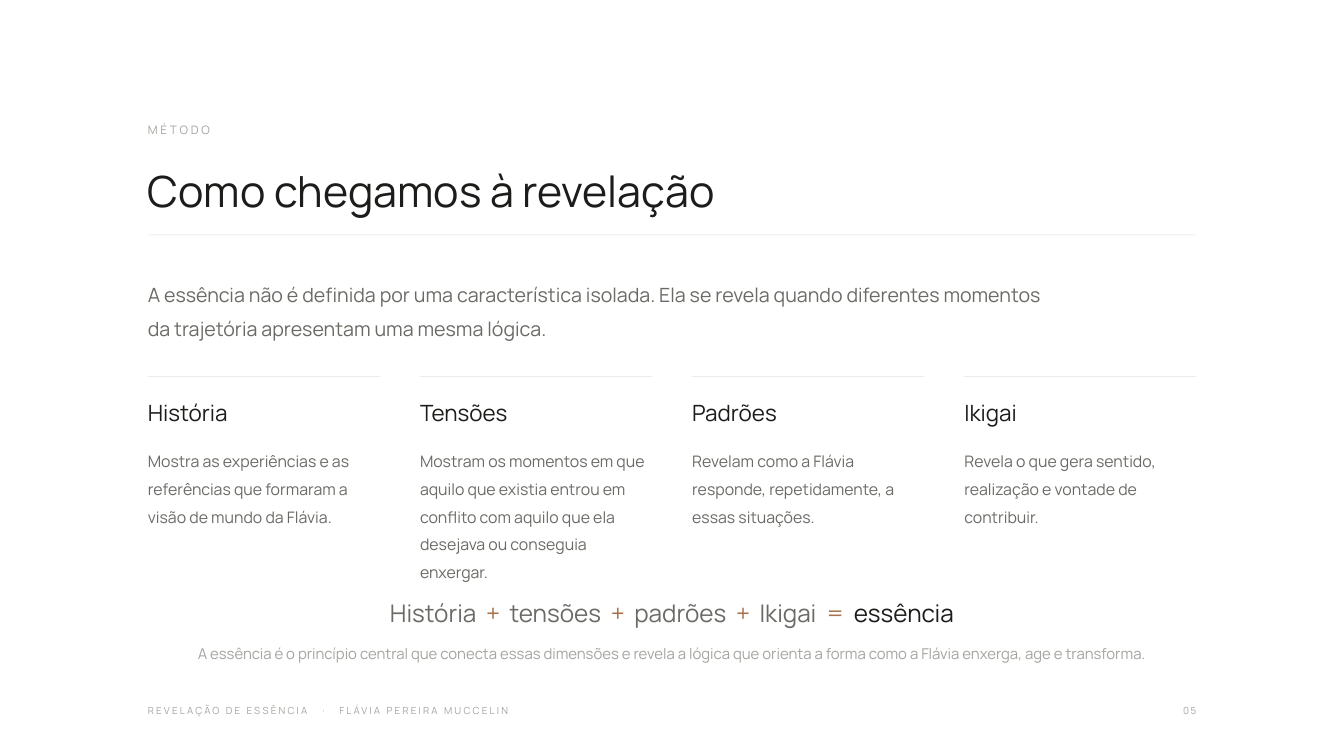
from pptx import Presentation
from pptx.dml.color import RGBColor
from pptx.enum.shapes import MSO_SHAPE
from pptx.enum.text import MSO_AUTO_SIZE, PP_ALIGN
from pptx.util import Inches, Pt

RECT = MSO_SHAPE.RECTANGLE
GROW = MSO_AUTO_SIZE.SHAPE_TO_FIT_TEXT
LEFT, MID, RIGHT = PP_ALIGN.LEFT, PP_ALIGN.CENTER, PP_ALIGN.RIGHT
FONT = "Manrope"
HEX = {"ink": "1C1C1A", "body": "6B6B66", "mute": "A5A49F",
       "rule": "E2E1DD", "accent": "A9724A"}
EDGE, FULL = 2.2, 15.6

deck = Presentation()
deck.slide_width, deck.slide_height = Inches(20), Inches(11.25)
slide = deck.slides.add_slide(deck.slide_layouts[6])


def add_text(x, y, w, h, size, lead, runs, align=LEFT):
    """Add a text box; each run is (text, colour, letter spacing in points)."""
    box = slide.shapes.add_textbox(Inches(x), Inches(y), Inches(w), Inches(h))
    frame = box.text_frame
    frame.word_wrap = True
    frame.auto_size = GROW
    frame.margin_left = frame.margin_right = 0
    frame.margin_top = frame.margin_bottom = 0
    para = frame.paragraphs[0]
    para.alignment = align
    para.line_spacing = lead
    for words, tone, gap in runs:
        run = para.add_run()
        run.text = words
        run.font.name = FONT
        run.font.size = Pt(size)
        run.font.color.rgb = RGBColor.from_string(HEX[tone])
        if gap:
            run.font._element.set("spc", str(round(gap * 100)))


def add_rule(x, y, w):
    """Add a thin horizontal rule."""
    bar = slide.shapes.add_shape(RECT, Inches(x), Inches(y), Inches(w), Inches(0.01))
    bar.shadow.inherit = False
    bar.fill.solid()
    bar.fill.fore_color.rgb = RGBColor.from_string(HEX["rule"])
    bar.line.fill.background()


# Heading
add_text(EDGE, 1.75, 12, 0.35, 12.5, 1.35, [("MÉTODO", "mute", 3)])
add_text(EDGE, 2.35, FULL, 1.02, 46, 1.12, [("Como chegamos à revelação", "ink", 0)])
add_rule(EDGE, 3.49, FULL)

# Lead paragraph
lead = ("A essência não é definida por uma característica isolada. Ela se revela "
        "quando diferentes momentos da trajetória apresentam uma mesma lógica.")
add_text(EDGE, 4.05, 13.6, 1.3, 21, 1.45, [(lead, "body", 0)])

# Four columns
cols = [
    ("História", "Mostra as experiências e as referências que formaram a visão de "
                 "mundo da Flávia."),
    ("Tensões", "Mostram os momentos em que aquilo que existia entrou em conflito "
                "com aquilo que ela desejava ou conseguia enxergar."),
    ("Padrões", "Revelam como a Flávia responde, repetidamente, a essas situações."),
    ("Ikigai", "Revela o que gera sentido, realização e vontade de contribuir."),
]
GAP = 0.6
wide = (FULL - GAP * (len(cols) - 1)) / len(cols)
for i, (head, note) in enumerate(cols):
    x = EDGE + i * (wide + GAP)
    add_rule(x, 5.6, wide)
    add_text(x, 5.9, wide, 0.6, 24, 1.1, [(head, "ink", 0)])
    add_text(x, 6.6, wide, 2, 17, 1.45, [(note, "body", 0)])

# Formula, with widened spaces around each sign
runs = []
for term, sign in [("História", "+"), ("tensões", "+"), ("padrões", "+"), ("Ikigai", "=")]:
    runs += [(term, "body", 0), (" ", "accent", 5), (sign, "accent", 0), (" ", "accent", 5)]
runs.append(("essência", "ink", 0))
add_text(EDGE, 8.8, FULL, 0.7, 26, 1.25, runs, MID)

# Closing line
close = ("A essência é o princípio central que conecta essas dimensões e revela a "
         "lógica que orienta a forma como a Flávia enxerga, age e transforma.")
add_text(EDGE, 9.5, FULL, 0.5, 16, 1.35, [(close, "mute", 0)], MID)

# Footer
foot = [("REVELAÇÃO DE ESSÊNCIA", "mute", 2.4), (" ", "mute", 11.2), ("·", "mute", 2.4),
        (" ", "mute", 11.2), ("FLÁVIA PEREIRA MUCCELIN", "mute", 2.4)]
add_text(EDGE, 10.45, 11, 0.35, 10.5, 1.25, foot)
add_text(15.8, 10.45, 2, 0.35, 10.5, 1.25, [("05", "mute", 1.6)], RIGHT)

deck.save("out.pptx")
